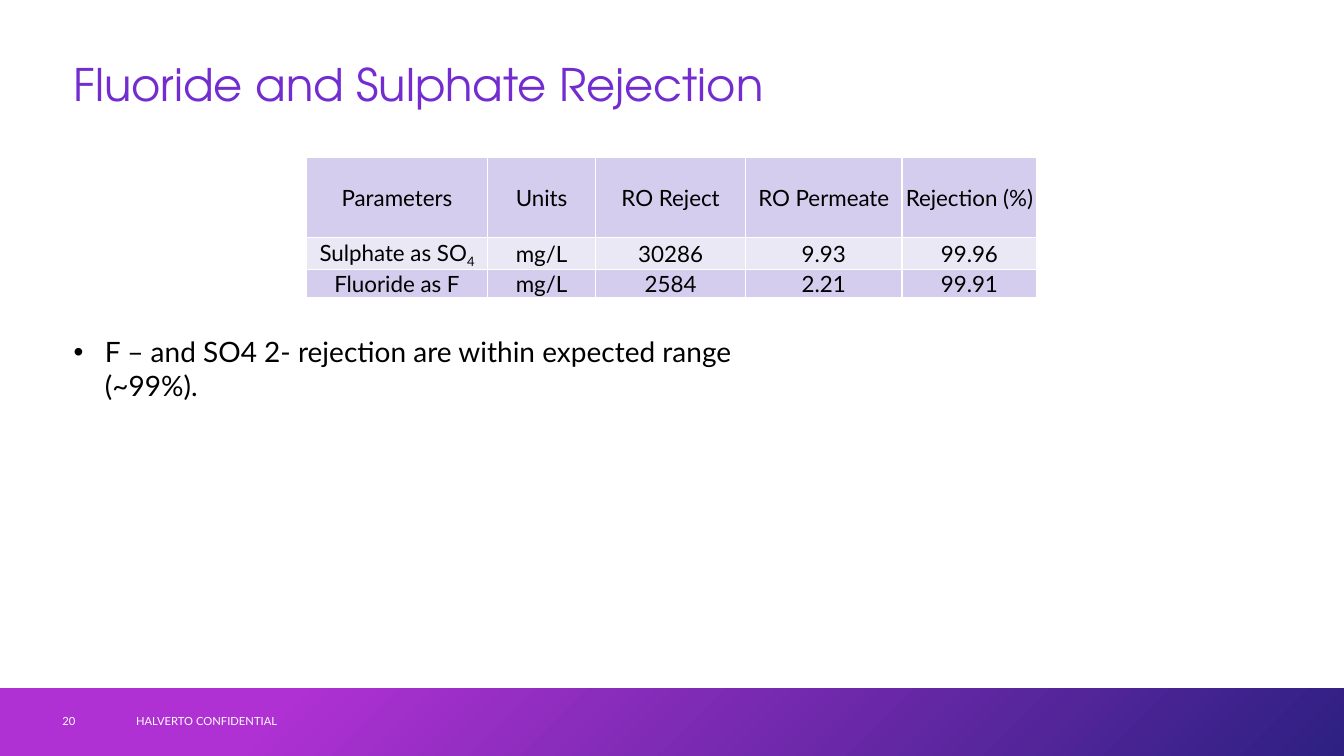
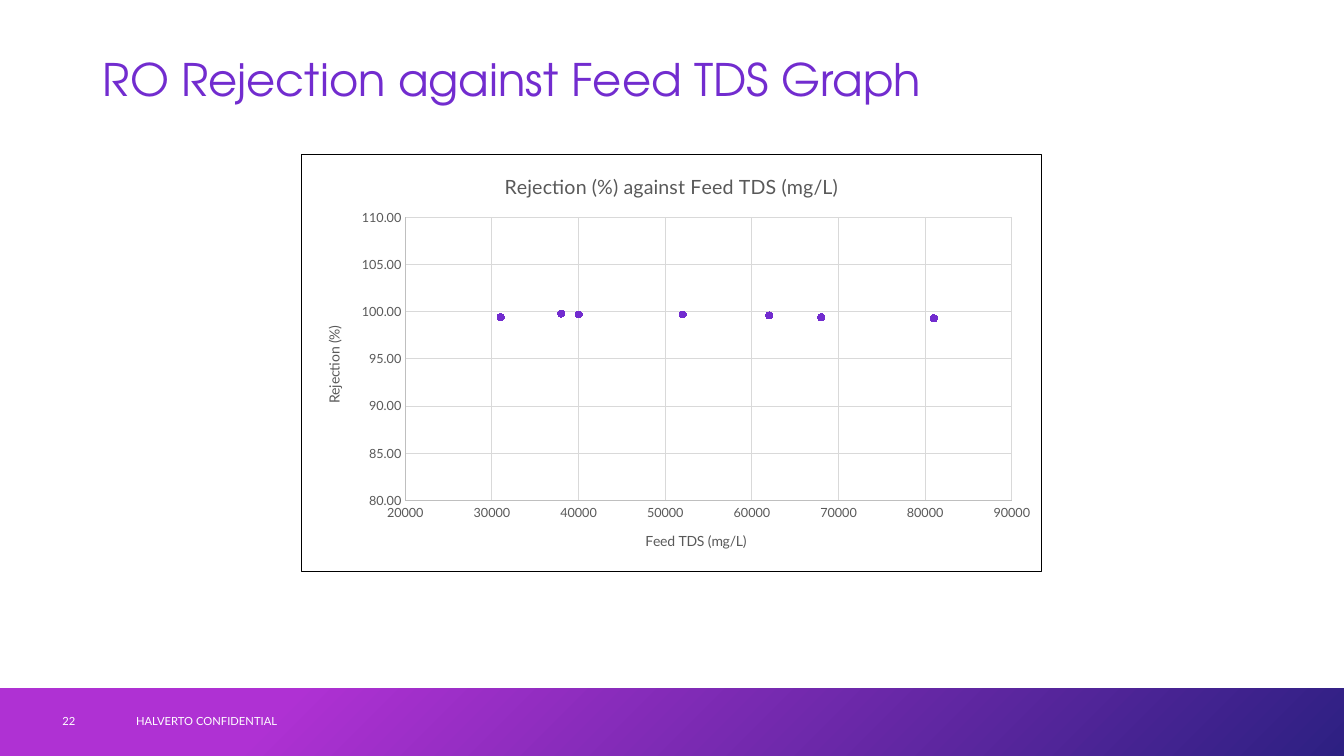
import pptx
import pptx.chart.data
import pptx.dml.color
import pptx.enum.chart
import pptx.enum.shapes
import pptx.enum.text
import pptx.oxml
import pptx.oxml.ns
import pptx.util
from pptx.util import Cm

NAMESPACES = pptx.oxml.ns.nsdecls("a", "c")
ALIGN = pptx.enum.text.PP_ALIGN
MIDDLE = pptx.enum.text.MSO_ANCHOR.MIDDLE


def color(hex_string):
    return pptx.dml.color.RGBColor.from_string(hex_string)


class Deck:
    """Holds the shared style and the slide being built."""

    width, height = Cm(33.87), Cm(19.05)
    title_font, text_font = "TeX Gyre Adventor", "Lato"
    violet, magenta, navy = "722CCF", "AF31D3", "2D2082"
    black, white, gray = "000000", "FFFFFF", "595959"
    axis_line, grid_line = "BFBFBF", "D9D9D9"
    row_fills = ("D5CDED", "EBE8F6")
    footer_text = "HALVERTO CONFIDENTIAL"
    title_and_content, title_only = 1, 5

    def __init__(self):
        self.presentation = pptx.Presentation()
        self.presentation.slide_width = self.width
        self.presentation.slide_height = self.height
        self.slide = None

    # Text helpers
    def style(self, font, size, hex_string, name=text_font):
        font.name = name
        font.size = pptx.util.Pt(size)
        font.bold = False
        font.color.rgb = color(hex_string)

    def add_text(self, paragraph, text, size, hex_string, name=text_font):
        run = paragraph.add_run()
        run.text = text
        self.style(run.font, size, hex_string, name)
        return run

    def place(self, shape, left, top, width, height):
        shape.left, shape.top = left, top
        shape.width, shape.height = width, height

    # Slide with its title, band and footer
    def add_slide(self, layout, title, number, title_left, title_top):
        layouts = self.presentation.slide_layouts
        self.slide = self.presentation.slides.add_slide(layouts[layout])
        self.title(title, title_left, title_top)
        self.band()
        self.footer(self.footer_text, Cm(3.18), Cm(11.43))
        self.footer(str(number), Cm(1.32), Cm(1.83))

    def title(self, text, left, top):
        shape = self.slide.shapes.title
        self.place(shape, left, top, Cm(29.21), Cm(1.7))
        frame = shape.text_frame
        frame.vertical_anchor = MIDDLE
        frame.auto_size = pptx.enum.text.MSO_AUTO_SIZE.NONE
        paragraph = frame.paragraphs[0]
        paragraph.alignment = ALIGN.LEFT
        paragraph.line_spacing = 0.9
        self.add_text(paragraph, text, 32, self.violet, self.title_font)

    def band(self):
        height = Cm(1.7)
        shape = self.slide.shapes.add_shape(
            pptx.enum.shapes.MSO_SHAPE.RECTANGLE,
            0, self.height - height, self.width, height)
        shape.shadow.inherit = False
        shape.line.fill.background()
        shape.fill.gradient()
        shape.fill.gradient_angle = 315
        stops = ((0.21, self.magenta), (1, self.navy))
        for stop, (position, hex_string) in zip(shape.fill.gradient_stops, stops):
            stop.position = position
            stop.color.rgb = color(hex_string)

    def footer(self, text, left, width):
        box = self.slide.shapes.add_textbox(left, Cm(17.65), width, Cm(1.02))
        box.text_frame.word_wrap = True
        box.text_frame.vertical_anchor = MIDDLE
        self.add_text(box.text_frame.paragraphs[0], text, 8, self.white)

    # Bulleted list in the body placeholder
    def bullets(self, items, left, top, width, height):
        shape = self.slide.placeholders[1]
        self.place(shape, left, top, width, height)
        frame = shape.text_frame
        frame.auto_size = pptx.enum.text.MSO_AUTO_SIZE.NONE
        for index, item in enumerate(items):
            paragraph = frame.add_paragraph() if index else frame.paragraphs[0]
            properties = paragraph._p.get_or_add_pPr()
            properties.set("marL", str(Cm(0.79)))
            properties.set("indent", str(-Cm(0.79)))
            properties.append(pptx.oxml.parse_xml(
                f'<a:buChar {NAMESPACES} char="•"/>'))
            paragraph.space_before = pptx.util.Pt(0)
            self.add_text(paragraph, item, 20, self.black)

    # Table: a cell is a text, or a text with its subscript
    def table(self, rows, left, top, widths, heights):
        table = self.slide.shapes.add_table(
            len(rows), len(widths), left, top, sum(widths), sum(heights)).table
        table.first_row = table.horz_banding = False
        for column, width in zip(table.columns, widths):
            column.width = width
        for row_index, (values, height) in enumerate(zip(rows, heights)):
            table.rows[row_index].height = height
            fill = self.row_fills[row_index % 2]
            for column_index, value in enumerate(values):
                self.cell(table.cell(row_index, column_index), value, fill)

    def cell(self, cell, value, fill):
        properties = cell._tc.get_or_add_tcPr()
        for side in "LRTB":
            properties.append(pptx.oxml.parse_xml(
                f'<a:ln{side} {NAMESPACES} w="12700"><a:solidFill>'
                f'<a:srgbClr val="{self.white}"/></a:solidFill></a:ln{side}>'))
        cell.fill.solid()
        cell.fill.fore_color.rgb = color(fill)
        cell.margin_left = cell.margin_right = cell.margin_top = Cm(0.03)
        cell.margin_bottom = 0
        cell.vertical_anchor = MIDDLE
        paragraph = cell.text_frame.paragraphs[0]
        paragraph.alignment = ALIGN.CENTER
        text, subscript = value if isinstance(value, tuple) else (value, "")
        self.add_text(paragraph, text, 16, self.black)
        if subscript:
            run = self.add_text(paragraph, subscript, 16, self.black)
            run._r.get_or_add_rPr().set("baseline", "-25000")

    # Scatter chart
    def scatter(self, title, points, left, top, width, height):
        data = pptx.chart.data.XyChartData()
        series_data = data.add_series("Series 1")
        for x, y in points:
            series_data.add_data_point(x, y)
        chart = self.slide.shapes.add_chart(
            pptx.enum.chart.XL_CHART_TYPE.XY_SCATTER,
            left, top, width, height, data).chart
        self.style(chart.font, 10, self.black)
        chart.has_legend = False
        chart.has_title = True
        self.add_text(chart.chart_title.text_frame.paragraphs[0], title, 14, self.gray)
        chart.plots[0].vary_by_categories = False
        series = chart.plots[0].series[0]
        series.format.line.fill.background()
        marker = series.marker
        marker.style = pptx.enum.chart.XL_MARKER_STYLE.CIRCLE
        marker.size = 5
        marker.format.fill.solid()
        marker.format.fill.fore_color.rgb = color(self.violet)
        marker.format.line.color.rgb = color(self.violet)
        self.chart_frame(chart)
        return chart

    def chart_frame(self, chart):
        # Border of the chart and inner layout of its plot area
        chart.element.find(pptx.oxml.ns.qn("c:txPr")).addprevious(
            pptx.oxml.parse_xml(
                f'<c:spPr {NAMESPACES}><a:solidFill><a:srgbClr val="{self.white}"/>'
                f'</a:solidFill><a:ln w="9525"><a:solidFill>'
                f'<a:srgbClr val="{self.black}"/></a:solidFill></a:ln></c:spPr>'))
        plot_area = chart.element.find(".//" + pptx.oxml.ns.qn("c:plotArea"))
        layout = plot_area.find(pptx.oxml.ns.qn("c:layout"))
        if layout is not None:
            plot_area.remove(layout)
        plot_area.insert(0, pptx.oxml.parse_xml(
            f'<c:layout {NAMESPACES}><c:manualLayout>'
            '<c:layoutTarget val="inner"/><c:xMode val="edge"/><c:yMode val="edge"/>'
            '<c:x val="0.14"/><c:y val="0.15"/><c:w val="0.82"/><c:h val="0.68"/>'
            '</c:manualLayout></c:layout>'))

    def axis(self, axis, title, minimum, maximum, step, number_format, rotation=0):
        axis.minimum_scale, axis.maximum_scale = minimum, maximum
        axis.major_unit = step
        axis.major_tick_mark = pptx.enum.chart.XL_TICK_MARK.NONE
        axis.minor_tick_mark = pptx.enum.chart.XL_TICK_MARK.NONE
        axis.tick_labels.number_format = number_format
        axis.tick_labels.number_format_is_linked = False
        self.style(axis.tick_labels.font, 9, self.gray)
        axis.has_major_gridlines = True
        for line, hex_string in ((axis.format.line, self.axis_line),
                                 (axis.major_gridlines.format.line, self.grid_line)):
            line.width = pptx.util.Pt(0.75)
            line.color.rgb = color(hex_string)
        frame = axis.axis_title.text_frame
        self.add_text(frame.paragraphs[0], title, 10, self.gray)
        body = frame._txBody.find(pptx.oxml.ns.qn("a:bodyPr"))
        body.set("rot", str(rotation * 60000))


def main():
    deck = Deck()

    # Rejection table
    deck.add_slide(deck.title_and_content, "Fluoride and Sulphate Rejection", 20,
                   Cm(1.6), Cm(1.35))
    deck.table(
        [("Parameters", "Units", "RO Reject", "RO Permeate", "Rejection (%)"),
         (("Sulphate as SO", "4"), "mg/L", "30286", "9.93", "99.96"),
         ("Fluoride as F", "mg/L", "2584", "2.21", "99.91")],
        Cm(7.72), Cm(3.96),
        [Cm(4.57), Cm(2.72), Cm(3.78), Cm(3.94), Cm(3.4)],
        [Cm(2.03), Cm(0.77), Cm(0.69)])
    deck.bullets(["F – and SO4 2- rejection are within expected range (~99%)."],
                 Cm(1.6), Cm(8.31), Cm(18.49), Cm(2))

    # Rejection chart
    deck.add_slide(deck.title_only, "RO Rejection against Feed TDS Graph", 22,
                   Cm(2.34), Cm(1.22))
    points = [(31000, 99.4), (38000, 99.8), (40000, 99.7), (52000, 99.7),
              (62000, 99.6), (68000, 99.4), (81000, 99.3)]
    chart = deck.scatter("Rejection (%) against Feed TDS (mg/L)", points,
                         Cm(7.59), Cm(3.89), Cm(18.67), Cm(10.52))
    deck.axis(chart.category_axis, "Feed TDS (mg/L)", 20000, 90000, 10000, "0")
    deck.axis(chart.value_axis, "Rejection (%)", 80, 110, 5, "0.00", rotation=-90)

    deck.presentation.save("out.pptx")


if __name__ == "__main__":
    main()
